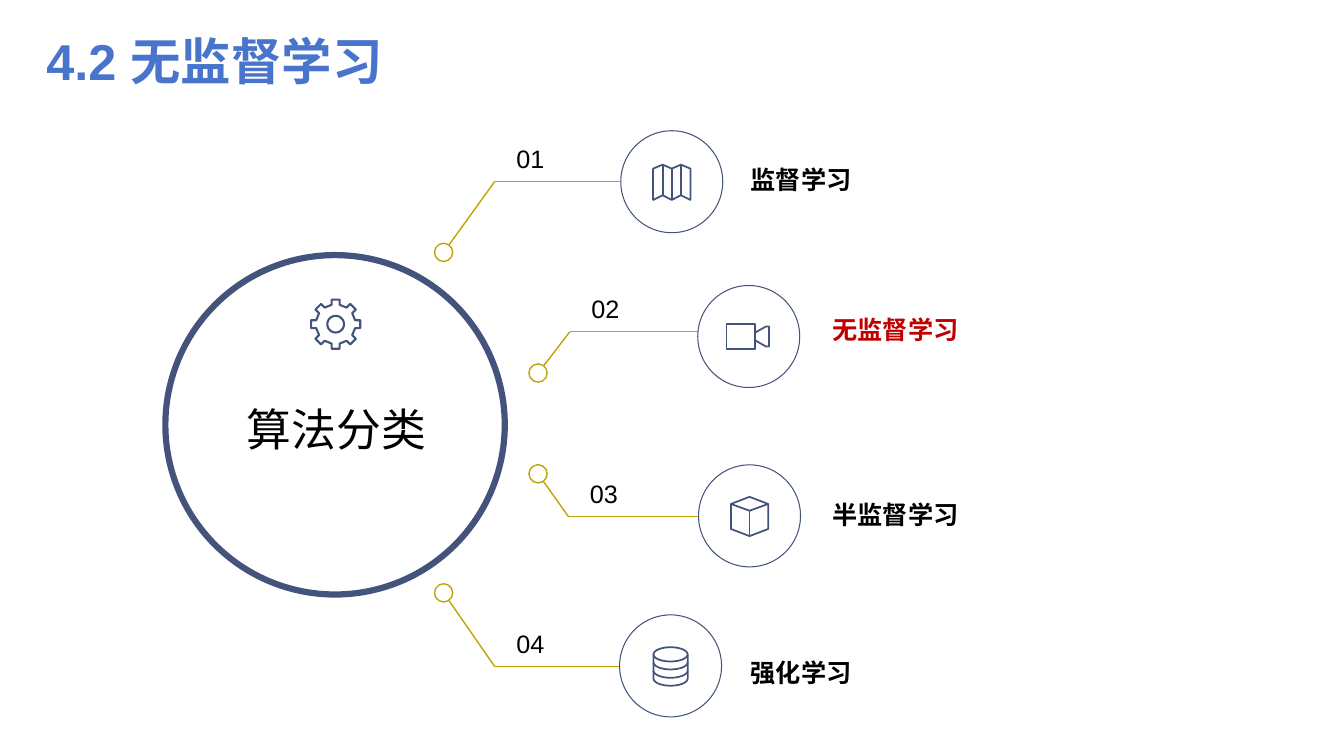
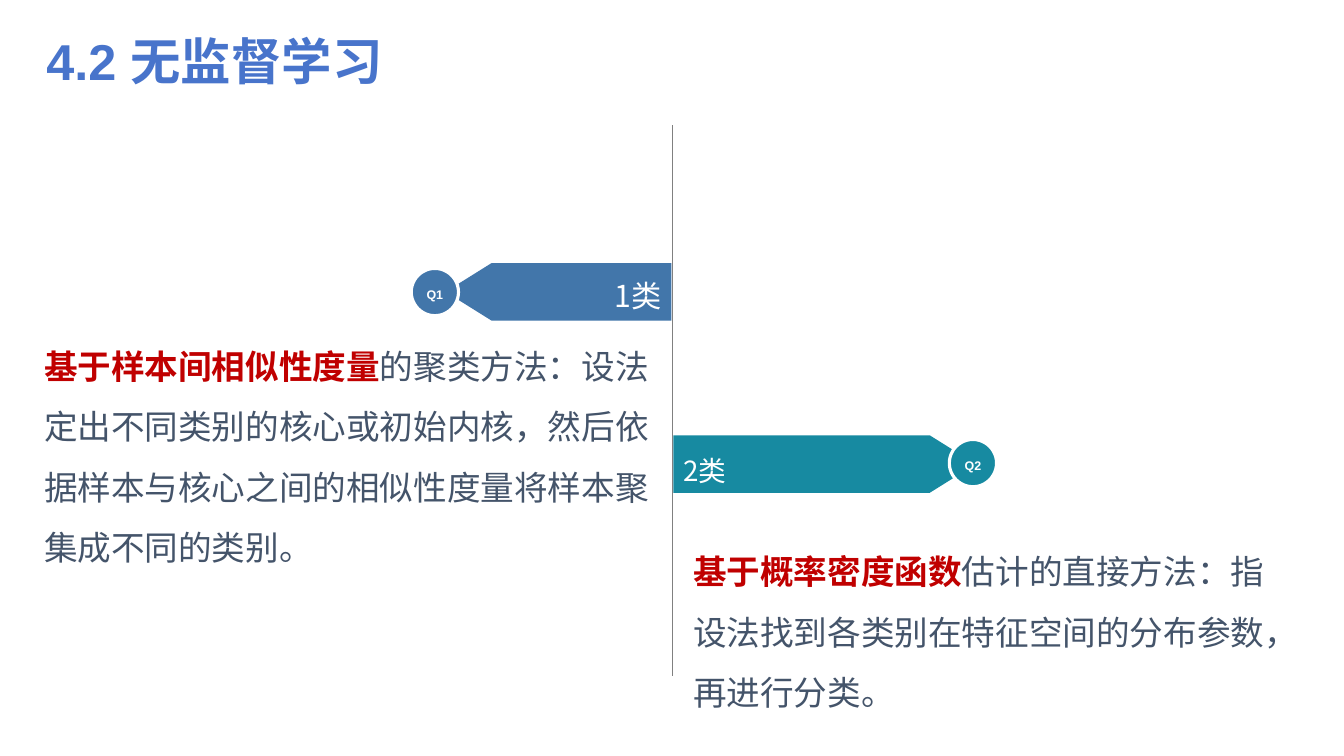
from math import cos, pi, sin

from lxml.etree import SubElement
from pptx import Presentation
from pptx.dml.color import RGBColor
from pptx.enum.shapes import MSO_CONNECTOR, MSO_SHAPE
from pptx.enum.text import MSO_ANCHOR, PP_ALIGN
from pptx.oxml.ns import qn
from pptx.util import Cm, Pt

# Shared colours and fonts
TITLE_BLUE = RGBColor(0x48, 0x74, 0xCB)
NAVY = RGBColor(0x43, 0x53, 0x7C)
GOLD = RGBColor(0xBF, 0xA4, 0x05)
RED = RGBColor(0xC0, 0x00, 0x00)
SLATE = RGBColor(0x44, 0x54, 0x6A)
GRAY = RGBColor(0x80, 0x80, 0x80)
BANNER_BLUE = RGBColor(0x42, 0x76, 0xAA)
BANNER_TEAL = RGBColor(0x17, 0x8A, 0xA1)
BLACK = RGBColor(0x00, 0x00, 0x00)
WHITE = RGBColor(0xFF, 0xFF, 0xFF)
CHINESE_FONT = "Noto Sans CJK SC"

# Sizes in centimetres
DOT_SIZE = 0.46
DISC_SIZE = 2.57
BADGE_SIZE = 1.19
BANNER_HEIGHT = 1.45


# Text
def add_run(paragraph, text, size, color, bold=False, font="Arial"):
    run = paragraph.add_run()
    run.text = text
    run.font.size = Pt(size)
    run.font.bold = bold
    run.font.color.rgb = color
    run.font.name = font
    SubElement(run._r.get_or_add_rPr(), qn("a:ea"), typeface=CHINESE_FONT)


def add_text_box(slide, left, top, width, height, align=PP_ALIGN.LEFT):
    box = slide.shapes.add_textbox(Cm(left), Cm(top), Cm(width), Cm(height))
    box.text_frame.word_wrap = True
    paragraph = box.text_frame.paragraphs[0]
    paragraph.alignment = align
    return paragraph


def add_titled_slide(presentation, title):
    slide = presentation.slides.add_slide(presentation.slide_layouts[5])
    shape = slide.shapes.title
    shape.left, shape.top = Cm(1.17), Cm(0.53)
    shape.width, shape.height = Cm(30.48), Cm(1.96)
    frame = shape.text_frame
    frame.margin_left = frame.margin_right = 0
    frame.margin_top = frame.margin_bottom = 0
    frame.vertical_anchor = MSO_ANCHOR.MIDDLE
    frame.paragraphs[0].alignment = PP_ALIGN.LEFT
    add_run(frame.paragraphs[0], title, 36, TITLE_BLUE, bold=True)
    return slide


# Shapes and lines
def add_filled_shape(slide, kind, left, top, width, height, fill,
                     line=None, line_width=1):
    shape = slide.shapes.add_shape(
        kind, Cm(left), Cm(top), Cm(width), Cm(height))
    shape.shadow.inherit = False
    shape.fill.solid()
    shape.fill.fore_color.rgb = fill
    if line is None:
        shape.line.fill.background()
    else:
        shape.line.color.rgb = line
        shape.line.width = Pt(line_width)
    return shape


def add_circle(slide, center, size, fill, line, line_width):
    x, y = center
    return add_filled_shape(slide, MSO_SHAPE.OVAL, x - size / 2, y - size / 2,
                            size, size, fill, line, line_width)


def add_line(slide, start, end, color, width):
    points = [Cm(value) for value in (*start, *end)]
    connector = slide.shapes.add_connector(MSO_CONNECTOR.STRAIGHT, *points)
    connector.line.color.rgb = color
    connector.line.width = Pt(width)
    SubElement(connector._element.spPr, qn("a:effectLst"))


def add_shape_text(shape, text, size, align, spacing, bold=False, font="Arial"):
    frame = shape.text_frame
    frame.word_wrap = False
    frame.vertical_anchor = MSO_ANCHOR.MIDDLE
    paragraph = frame.paragraphs[0]
    paragraph.alignment = align
    paragraph.line_spacing = spacing
    add_run(paragraph, text, size, WHITE, bold, font)


# Icons: each is a list of (points, closed) around the icon's centre
def arc(radius_x, radius_y, center_y=0, sweep=2 * pi, steps=32):
    angles = [sweep * step / steps for step in range(steps + 1)]
    return [(radius_x * cos(a), center_y + radius_y * sin(a)) for a in angles]


def map_icon():
    columns = [-0.47, -0.23, 0, 0.23, 0.47]
    upper = [(x, -0.43 if i % 2 else -0.33) for i, x in enumerate(columns)]
    lower = [(x, 0.34 if i % 2 else 0.46) for i, x in enumerate(columns)]
    folds = [(list(pair), False) for pair in zip(upper[1:4], lower[1:4])]
    return [(upper + lower[::-1], True)] + folds


def camera_icon():
    body = [(-0.56, -0.32), (0.15, -0.32), (0.15, 0.32), (-0.56, 0.32)]
    lens = [(0.15, -0.09), (0.43, -0.25), (0.51, -0.25),
            (0.51, 0.25), (0.43, 0.25), (0.15, 0.09)]
    return [(body, True), (lens, False)]


def cube_icon():
    outline = [(0, -0.48), (0.47, -0.3), (0.47, 0.33),
               (0, 0.51), (-0.47, 0.33), (-0.47, -0.3)]
    top_edges = [(-0.47, -0.3), (0, -0.13), (0.47, -0.3)]
    return [(outline, True), (top_edges, False),
            ([(0, -0.13), (0, 0.51)], False)]


def database_icon():
    layers = [arc(0.43, 0.18, y, pi) for y in (-0.09, 0.12, 0.32)]
    body = [(0.43, -0.29)] + layers[-1] + [(-0.43, -0.29)]
    return ([(arc(0.43, 0.18, -0.29), True), (body, False)]
            + [(layer, False) for layer in layers[:-1]])


def gear_icon():
    tooth = [(0.49, -0.1), (0.62, -0.1), (0.62, 0.1), (0.49, 0.1)]
    rim = [(x * cos(a) - y * sin(a), x * sin(a) + y * cos(a))
           for a in (pi / 4 * i for i in range(8)) for x, y in tooth]
    return [(rim, True), (arc(0.21, 0.21), True)]


def add_icon(slide, center, contours, width=1.25):
    builder = None
    for points, closed in contours:
        placed = [(Cm(center[0] + x), Cm(center[1] + y)) for x, y in points]
        if builder is None:
            builder = slide.shapes.build_freeform(*placed[0])
        else:
            builder.move_to(*placed[0])
        builder.add_line_segments(placed[1:], close=closed)
    shape = builder.convert_to_shape()
    shape.shadow.inherit = False
    shape.fill.background()
    shape.line.color.rgb = NAVY
    shape.line.width = Pt(width)


# Slide 1: one branch per kind of learning
def add_branch(slide, number, label, color, dot, bend, disc, label_at, icon):
    add_line(slide, dot, bend, GOLD, 1)
    add_line(slide, bend, (disc[0] - DISC_SIZE / 2, bend[1]), GOLD, 1)
    add_circle(slide, dot, DOT_SIZE, WHITE, GOLD, 1)
    add_circle(slide, disc, DISC_SIZE, WHITE, NAVY, 0.75)
    add_icon(slide, disc, icon)
    paragraph = add_text_box(slide, bend[0], bend[1] - 1.09, 1.8, 1.02,
                             PP_ALIGN.CENTER)
    add_run(paragraph, number, 18, BLACK)
    paragraph = add_text_box(slide, *label_at, 8.1, 1.02)
    add_run(paragraph, label, 18, color, bold=True)


def build_overview(presentation, title):
    slide = add_titled_slide(presentation, title)
    ring = add_filled_shape(slide, MSO_SHAPE.DONUT, 4.09, 6.35, 8.71, 8.71, NAVY)
    ring.adjustments[0] = 0.018
    add_icon(slide, (8.46, 8.17), gear_icon(), 1.5)
    add_run(add_text_box(slide, 5.97, 10.01, 5.36, 1.63), "算法分类", 32, BLACK)
    branches = [
        ("监督学习", BLACK, (11.18, 6.36), (12.47, 4.57), (16.93, 4.58),
         (18.67, 4.01), map_icon()),
        ("无监督学习", RED, (13.56, 9.4), (14.36, 8.36), (18.87, 8.48),
         (20.73, 7.8), camera_icon()),
        ("半监督学习", BLACK, (13.56, 11.94), (14.32, 13.01), (18.89, 13),
         (20.73, 12.45), cube_icon()),
        ("强化学习", BLACK, (11.18, 14.94), (12.47, 16.8), (16.9, 16.78),
         (18.67, 16.43), database_icon()),
    ]
    for index, branch in enumerate(branches, start=1):
        add_branch(slide, f"{index:02}", *branch)


# Slide 2: two kinds of method on either side of a divider
def add_banner(slide, left, top, width, fill, text, size, align, spacing,
               flipped=False):
    banner = add_filled_shape(slide, MSO_SHAPE.PENTAGON, left, top, width,
                              BANNER_HEIGHT, fill)
    banner.adjustments[0] = 0.8
    if flipped:
        banner._element.spPr.find(qn("a:xfrm")).set("flipH", "1")
    add_shape_text(banner, text, size, align, spacing, font=CHINESE_FONT)


def add_badge(slide, center, fill, text):
    badge = add_circle(slide, center, BADGE_SIZE, fill, WHITE, 2.25)
    add_shape_text(badge, text, 8.9, PP_ALIGN.CENTER, 1.3, bold=True)


def add_method(slide, left, top, width, height, key_phrase, description):
    paragraph = add_text_box(slide, left, top, width, height)
    paragraph.line_spacing = 1.5
    add_run(paragraph, key_phrase, 24, RED, bold=True, font="Lato")
    add_run(paragraph, description, 24, SLATE, font="Lato")


def build_methods(presentation, title):
    slide = add_titled_slide(presentation, title)
    add_line(slide, (16.94, 3.15), (16.94, 17.04), GRAY, 0.25)
    add_banner(slide, 11.23, 6.63, 5.69, BANNER_BLUE, "1类", 21.6,
               PP_ALIGN.RIGHT, 1.2, flipped=True)
    add_banner(slide, 16.97, 10.97, 7.62, BANNER_TEAL, "2类", 19.8,
               PP_ALIGN.LEFT, 1.4)
    add_badge(slide, (10.96, 7.36), BANNER_BLUE, "Q1")
    add_badge(slide, (24.52, 11.67), BANNER_TEAL, "Q2")
    add_method(slide, 0.86, 8.08, 16.08, 6.4, "基于样本间相似性度量",
               "的聚类方法：设法定出不同类别的核心或初始内核，然后依据样本与核心"
               "之间的相似性度量将样本聚集成不同的类别。")
    add_method(slide, 17.22, 13.25, 15.42, 4.8, "基于概率密度函数",
               "估计的直接方法：指设法找到各类别在特征空间的分布参数，再进行分类。")


def main():
    presentation = Presentation()
    presentation.slide_width = Cm(33.87)
    presentation.slide_height = Cm(19.05)
    title = "4.2 无监督学习"
    build_overview(presentation, title)
    build_methods(presentation, title)
    presentation.save("out.pptx")


if __name__ == "__main__":
    main()
